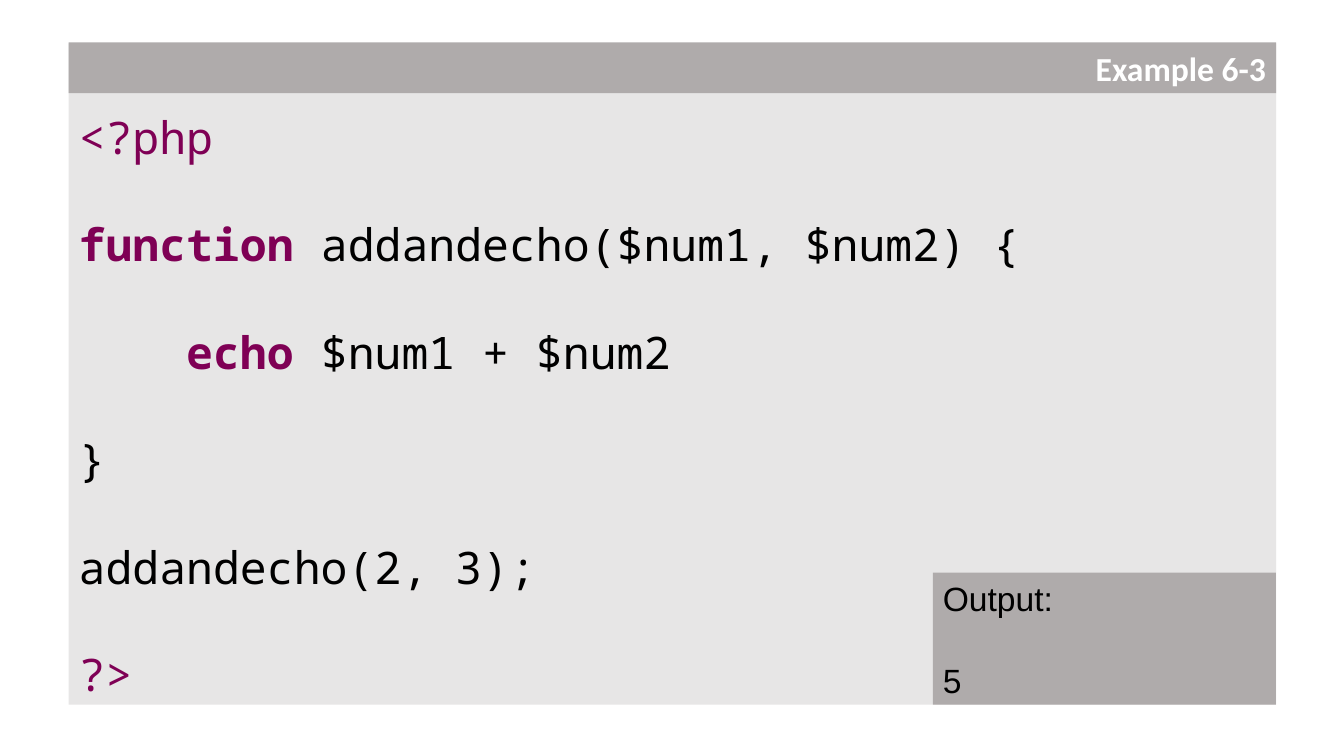
"""Build the slide for Example 6-3, a function that echoes a sum, with its output."""
from lxml import etree
from pptx import Presentation
from pptx import util as u
from pptx.dml.color import RGBColor
from pptx.enum import shapes, text
from pptx.oxml import ns

PANEL = RGBColor(0xE7, 0xE6, 0xE6)
BAR = RGBColor(0xAF, 0xAB, 0xAB)
KEYWORD = RGBColor(0x7F, 0x00, 0x55)
BLACK = RGBColor(0, 0, 0)
WHITE = RGBColor(0xFF, 0xFF, 0xFF)

LEFT, WIDTH = 49, 862.5
CODE = [
    [("<?php", KEYWORD, False)],
    [("function ", KEYWORD, True), ("addandecho($num1, $num2) {", BLACK, False)],
    [("    echo ", KEYWORD, True), ("$num1 + $num2", BLACK, False)],
    [("}", BLACK, False)],
    [("addandecho(2, 3);", BLACK, False)],
    [("?>", KEYWORD, False)],
]
OUTPUT = [[("Output:", BLACK, False)], [("5", BLACK, False)]]
HEADING = [[("Example 6-3", WHITE, True)]]


class ExampleSlide:
    """Holds the type style and the slide being filled."""

    def __init__(self, deck):
        self.code_font, self.output_font, self.heading_font = "Noto Sans Mono", "Arial", "Calibri"
        self.code_size, self.label_size = 32, 24
        self.slide = deck.slides.add_slide(deck.slide_layouts[1])

    def place(self, panel, box, fill):
        panel.left, panel.top, panel.width, panel.height = map(u.Pt, box)
        panel.fill.solid()
        panel.fill.fore_color.rgb = fill

    def set_lines(self, panel, lines, font, size, align, gap=0, pitch=None, inset=3.6):
        frame = panel.text_frame
        frame.word_wrap = True
        frame.auto_size = text.MSO_AUTO_SIZE.NONE
        frame.vertical_anchor = text.MSO_ANCHOR.TOP
        frame.margin_top = u.Pt(inset)
        for number, line in enumerate(lines):
            paragraph = frame.add_paragraph() if number else frame.paragraphs[0]
            properties = paragraph._p.get_or_add_pPr()
            properties.set("marL", "0")
            properties.set("indent", "0")
            etree.SubElement(properties, ns.qn("a:buNone"))
            paragraph.alignment = align
            paragraph.space_before = u.Pt(gap if number else 0)
            paragraph.line_spacing = u.Pt(pitch) if pitch else 1.0
            for words, colour, bold in line:
                run = paragraph.add_run()
                run.text = words
                run.font.name, run.font.size = font, u.Pt(size)
                run.font.bold, run.font.color.rgb = bold, colour

    def heading(self, lines, box):
        title = self.slide.shapes.title
        self.place(title, box, BAR)
        self.set_lines(title, lines, self.heading_font, self.label_size, text.PP_ALIGN.RIGHT)

    def code(self, lines, box):
        listing = self.slide.placeholders[1]
        self.place(listing, box, PANEL)
        self.set_lines(listing, lines, self.code_font, self.code_size,
                       text.PP_ALIGN.LEFT, gap=38.4, pitch=38.4, inset=47)
        self.slide.shapes.title.element.addprevious(listing.element)

    def output(self, lines, box):
        result = self.slide.shapes.add_shape(shapes.MSO_SHAPE.RECTANGLE, *map(u.Pt, box))
        result.shadow.inherit = False
        result.line.fill.background()
        self.place(result, box, BAR)
        self.set_lines(result, lines, self.output_font, self.label_size,
                       text.PP_ALIGN.LEFT, gap=30)


def main():
    deck = Presentation()
    deck.slide_width, deck.slide_height = u.Pt(960), u.Pt(540)
    example = ExampleSlide(deck)
    example.code(CODE, (LEFT, 31, WIDTH, 472.3))
    example.heading(HEADING, (LEFT, 30.3, WIDTH, 36.3))
    example.output(OUTPUT, (666.4, 409, 245, 94.4))
    deck.save("out.pptx")


if __name__ == "__main__":
    main()
